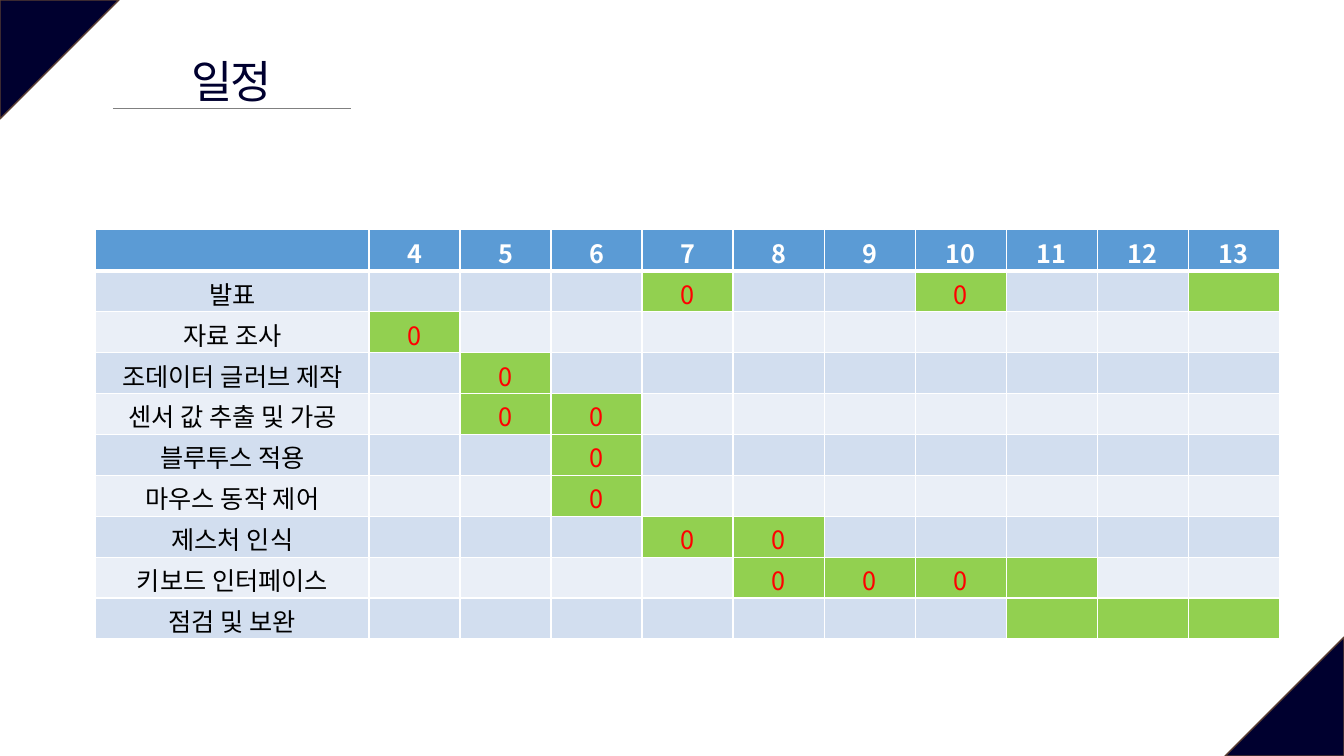
from lxml.etree import SubElement
from pptx import Presentation
from pptx.dml.color import RGBColor
from pptx.enum.shapes import MSO_CONNECTOR, MSO_SHAPE
from pptx.enum.text import MSO_ANCHOR, MSO_AUTO_SIZE, PP_ALIGN
from pptx.oxml.ns import qn
from pptx.util import Inches, Pt

FONT = "Noto Sans CJK KR"
NAVY, WHITE, BLACK, RED = "00002F", "FFFFFF", "000000", "FF0000"
HEADER_BLUE, GREEN = "5B9BD5", "92D050"
BANDS = ("D2DEEF", "EAEFF7")

WEEKS = range(4, 14)
# Task, weeks already marked with 0, weeks only planned
TASKS = [
    ("발표", (7, 10), (13,)),
    ("자료 조사", (4,), ()),
    ("조데이터 글러브 제작", (5,), ()),
    ("센서 값 추출 및 가공", (5, 6), ()),
    ("블루투스 적용", (6,), ()),
    ("마우스 동작 제어", (6,), ()),
    ("제스처 인식", (7, 8), ()),
    ("키보드 인터페이스", (8, 9, 10), (11,)),
    ("점검 및 보완", (), (11, 12, 13)),
]


def rgb(value):
    return RGBColor.from_string(value)


def style_text(paragraph, size, color, bold=False):
    paragraph.alignment = PP_ALIGN.CENTER
    for run in paragraph.runs:
        font = run.font
        font.size, font.bold, font.name = Pt(size), bold, FONT
        font.color.rgb = rgb(color)
        SubElement(font._element, qn("a:ea"), typeface=FONT)


def add_corner(slide, left, top, size, rotation):
    corner = slide.shapes.add_shape(
        MSO_SHAPE.ISOSCELES_TRIANGLE, Inches(left), Inches(top), Inches(size), Inches(size))
    corner.adjustments[0] = 0
    corner.rotation = rotation
    corner.shadow.inherit = False
    corner.fill.solid()
    corner.fill.fore_color.rgb = rgb(NAVY)
    corner.line.color.rgb = rgb("5B3F33")
    corner.line.width = Pt(1)


def add_title(slide, left, top, width, height):
    """Centre the title over a rule that spans the given box."""
    title = slide.shapes.title
    text_width = 1.06
    title.left, title.top = Inches(left + (width - text_width) / 2), Inches(top)
    title.width, title.height = Inches(text_width), Inches(height + 0.04)
    frame = title.text_frame
    frame.text = "일정"
    frame.word_wrap = False
    frame.auto_size = MSO_AUTO_SIZE.NONE
    frame.vertical_anchor = MSO_ANCHOR.MIDDLE
    frame.margin_left = frame.margin_right = frame.margin_top = frame.margin_bottom = 0
    paragraph = frame.paragraphs[0]
    style_text(paragraph, 32, NAVY)
    paragraph.runs[0].font._element.set("spc", "-150")

    rule_top = Inches(top + height)
    rule = slide.shapes.add_connector(
        MSO_CONNECTOR.STRAIGHT, Inches(left), rule_top, Inches(left + width), rule_top)
    rule.line.color.rgb = rgb("808080")
    rule.line.width = Pt(0.5)
    SubElement(rule._element.spPr, qn("a:effectLst"))


def set_borders(cell, top, bottom):
    properties = cell._tc.get_or_add_tcPr()
    for position, (side, points) in enumerate(
            (("lnL", 1), ("lnR", 1), ("lnT", top), ("lnB", bottom))):
        line = SubElement(properties, qn(f"a:{side}"), w=str(Pt(points)))
        fill = SubElement(line, qn("a:solidFill"))
        SubElement(fill, qn("a:srgbClr"), val=WHITE)
        properties.insert(position, line)


def fill_cell(cell, text, fill, color, bold=False, top=1, bottom=1):
    cell.fill.solid()
    cell.fill.fore_color.rgb = rgb(fill)
    set_borders(cell, top, bottom)
    cell.margin_top, cell.margin_bottom = Inches(0.04), 0
    cell.vertical_anchor = MSO_ANCHOR.MIDDLE
    cell.text = text
    style_text(cell.text_frame.paragraphs[0], 18, color, bold)


def add_schedule(slide, left, top, width, height):
    row_count, column_count = len(TASKS) + 1, len(WEEKS) + 1
    table = slide.shapes.add_table(
        row_count, column_count, Inches(left), Inches(top), Inches(width), Inches(height)).table
    task_width = 2.71
    for column in table.columns:
        column.width = Inches((width - task_width) / len(WEEKS))
    table.columns[0].width = Inches(task_width)
    for row in table.rows:
        row.height = Inches(height / row_count)

    for column, text in enumerate(["", *map(str, WEEKS)]):
        fill_cell(table.cell(0, column), text, HEADER_BLUE, WHITE, bold=True, bottom=3)
    for row, (task, done, planned) in enumerate(TASKS, 1):
        band = BANDS[(row - 1) % 2]
        border_top = 3 if row == 1 else 1
        fill_cell(table.cell(row, 0), task, band, BLACK, top=border_top)
        for column, week in enumerate(WEEKS, 1):
            fill_cell(table.cell(row, column), "0" if week in done else "",
                      GREEN if week in done + planned else band, RED, top=border_top)


def main():
    presentation = Presentation()
    presentation.slide_width, presentation.slide_height = Inches(13.33), Inches(7.5)
    slide = presentation.slides.add_slide(presentation.slide_layouts[5])
    corner_size = 1.18
    add_corner(slide, 0, 0, corner_size, 90)
    add_corner(slide, 13.33 - corner_size, 7.5 - corner_size, corner_size, 270)
    add_title(slide, 1.12, 0.48, 2.36, 0.6)
    add_schedule(slide, 0.95, 2.28, 11.74, 4.06)
    presentation.save("out.pptx")


if __name__ == "__main__":
    main()
